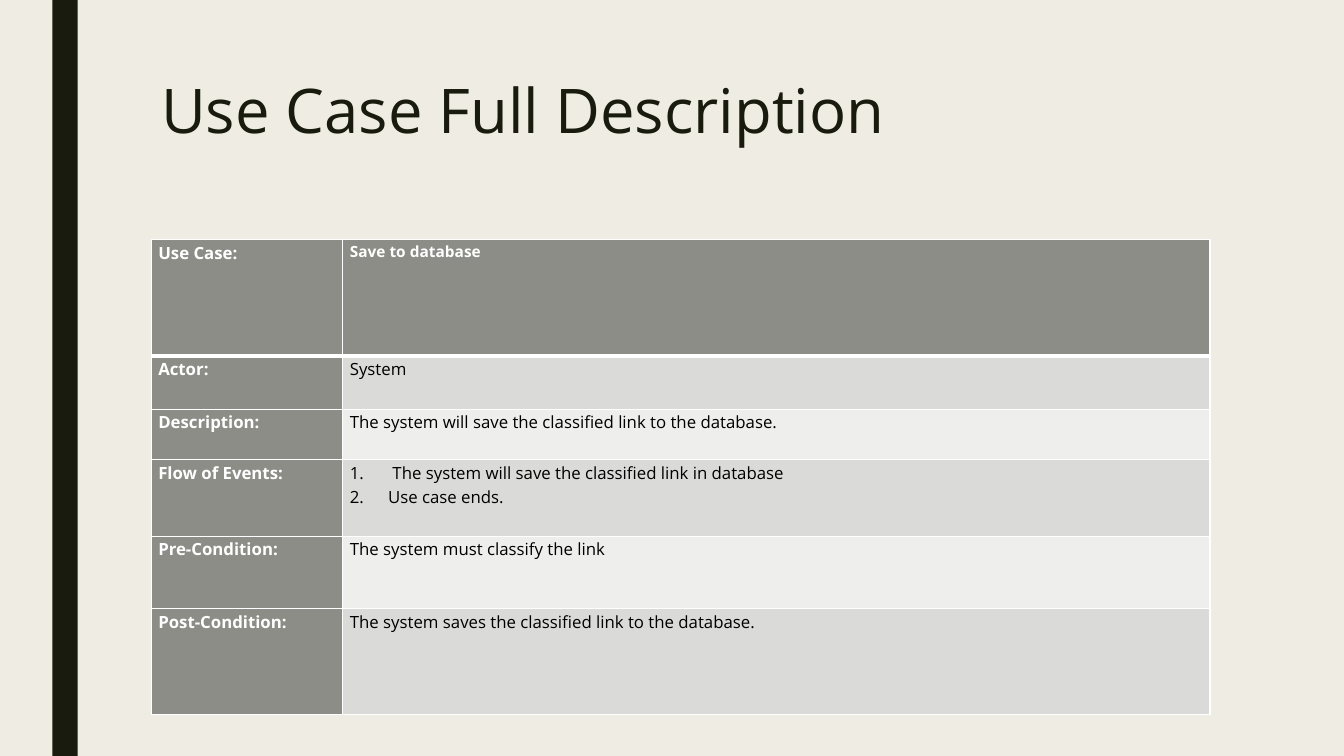
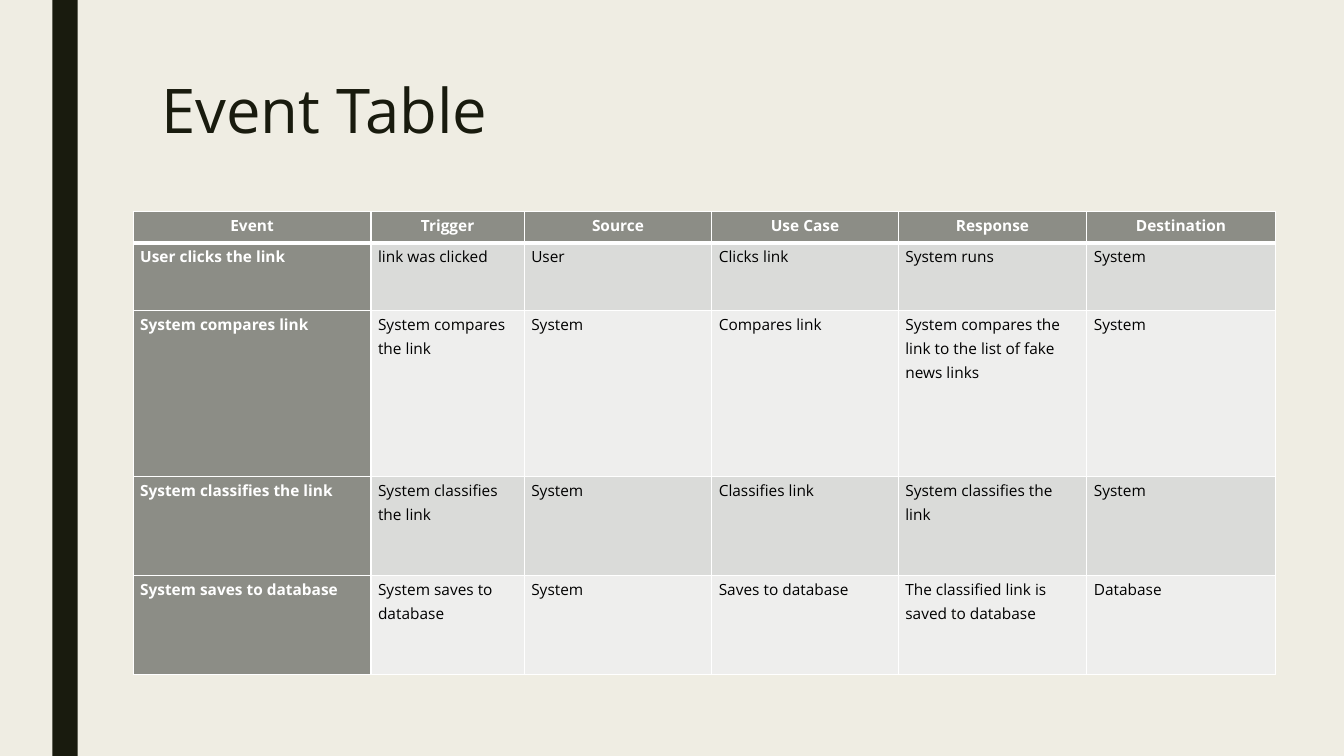
import pptx
import pptx.util
import pptx.dml.color
import pptx.enum.shapes
import pptx.enum.text
import pptx.oxml
import pptx.oxml.ns

Inches, Pt = pptx.util.Inches, pptx.util.Pt
ALIGN = pptx.enum.text.PP_ALIGN

FONT = "Open Sans"
PAPER, DARK, WHITE, BLACK = "EFEDE3", "191B0E", "FFFFFF", "000000"
HEAD, BANDS = "8C8D86", ("DADBD9", "EEEEED")
TITLE_BOX = (1.5, 0.75, 10.5, 1.62)
SIDE_BAND = (0.52, 0, 0.25, 7.5)


def rgb(value):
    return pptx.dml.color.RGBColor.from_string(value)


def paint(fill, colour):
    fill.solid()
    fill.fore_color.rgb = rgb(colour)


def write(p, text, colour, **font):
    r = p.add_run()
    r.text = text
    for name, value in {"name": FONT, **font}.items():
        setattr(r.font, name, value)
    r.font.color.rgb = rgb(colour)


def number(p, indent=0.38):
    """Turn a paragraph into an item of a numbered list."""
    pPr = p._p.get_or_add_pPr()
    pPr.set("marL", str(Inches(indent)))
    pPr.set("indent", str(-Inches(indent)))
    bullet = pptx.oxml.parse_xml(
        f'<a:buAutoNum {pptx.oxml.ns.nsdecls("a")} type="arabicPeriod"/>')
    pPr.append(bullet)


def set_borders(cell, top, bottom):
    """Rule a cell in white; top and bottom are widths in points."""
    tcPr = cell._tc.get_or_add_tcPr()
    for side, width in zip("LRTB", (1, 1, top, bottom)):
        tcPr.append(pptx.oxml.parse_xml(
            f'<a:ln{side} {pptx.oxml.ns.nsdecls("a")} w="{Pt(width)}">'
            f'<a:solidFill><a:srgbClr val="{WHITE}"/></a:solidFill></a:ln{side}>'))


def fill_cell(cell, content, row, is_head, size, spacing, align):
    """Style a cell; a list as content becomes numbered paragraphs."""
    set_borders(cell, top=3 if row == 1 else 1, bottom=3 if row == 0 else 1)
    paint(cell.fill, HEAD if is_head else BANDS[(row - 1) % 2])
    margins = {"margin_left": 0.07, "margin_right": 0.07,
               "margin_top": 0, "margin_bottom": 0}
    for name, value in margins.items():
        setattr(cell, name, Inches(value))
    numbered = isinstance(content, list)
    tf = cell.text_frame
    for i, text in enumerate(content if numbered else [content]):
        p = tf.add_paragraph() if i else tf.paragraphs[0]
        p.line_spacing, p.alignment = spacing, align
        if numbered:
            number(p)
        write(p, text, WHITE if is_head else BLACK, size=Pt(size), bold=is_head)


def add_grid(s, left, top, widths, heights, rows, spacing, size_at, head_align):
    """Place a table with a dark first row and column; size_at(row, col) is in points."""
    table = s.shapes.add_table(
        len(rows), len(widths), Inches(left), Inches(top),
        Inches(sum(widths)), Inches(sum(heights))).table
    table.horz_banding = False
    for column, width in zip(table.columns, widths):
        column.width = Inches(width)
    for i, (row, height) in enumerate(zip(rows, heights)):
        table.rows[i].height = Inches(height)
        for j, content in enumerate(row):
            fill_cell(table.cell(i, j), content, i, i == 0 or j == 0,
                      size_at(i, j), spacing, ALIGN.LEFT if i else head_align)


def add_titled_slide(prs, title):
    s = prs.slides.add_slide(prs.slide_layouts[6])
    paint(s.background.fill, PAPER)
    band = s.shapes.add_shape(pptx.enum.shapes.MSO_SHAPE.RECTANGLE,
                              *map(Inches, SIDE_BAND))
    band.shadow.inherit = False
    paint(band.fill, DARK)
    band.line.fill.background()
    tf = s.shapes.add_textbox(*map(Inches, TITLE_BOX)).text_frame
    tf.word_wrap = True
    p = tf.paragraphs[0]
    p.line_spacing = 0.89
    write(p, title, DARK, size=Pt(44))
    return s


def add_use_case_slide(prs):
    rows = [
        ("Use Case:", "Save to database"),
        ("Actor:", "System"),
        ("Description:", "The system will save the classified link to the database."),
        ("Flow of Events:", [" The system will save the classified link in database",
                             "Use case ends."]),
        ("Pre-Condition:", "The system must classify the link"),
        ("Post-Condition:", "The system saves the classified link to the database."),
    ]
    s = add_titled_slide(prs, "Use Case Full Description")
    add_grid(s, 1.5, 2.38, (1.9, 8.6), (1.15, 0.53, 0.5, 0.76, 0.72, 1.05), rows,
             spacing=1.07, size_at=lambda i, j: 11 if (i, j) == (0, 1) else 12,
             head_align=ALIGN.LEFT)


def add_event_slide(prs):
    rows = [
        ("Event", "Trigger", "Source", "Use Case", "Response", "Destination"),
        ("User clicks the link", "link was clicked", "User", "Clicks link",
         "System runs", "System"),
        ("System compares link", "System compares the link", "System", "Compares link",
         "System compares the link to the list of fake news links", "System"),
        ("System classifies the link", "System classifies the link", "System",
         "Classifies link", "System classifies the link", "System"),
        ("System saves to database", "System saves to database", "System",
         "Saves to database", "The classified link is saved to database", "Database"),
    ]
    s = add_titled_slide(prs, "Event Table")
    add_grid(s, 1.32, 2.1, (2.36, 1.52, 1.86, 1.85, 1.87, 1.87),
             (0.31, 0.67, 1.65, 0.98, 0.98), rows,
             spacing=1.15, size_at=lambda i, j: 11, head_align=ALIGN.CENTER)


def main():
    prs = pptx.Presentation()
    prs.slide_width, prs.slide_height = Inches(13.33), Inches(7.5)
    add_use_case_slide(prs)
    add_event_slide(prs)
    prs.save("out.pptx")


if __name__ == "__main__":
    main()
